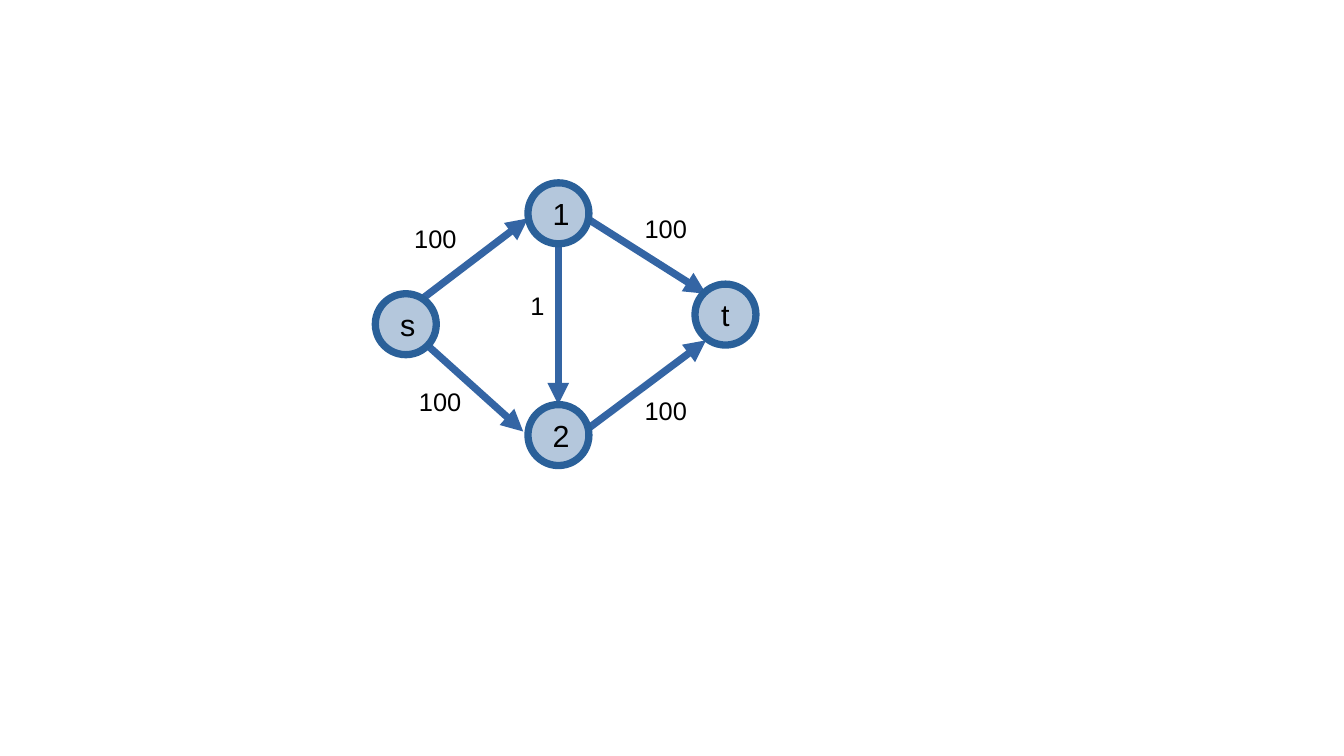
import pptx
import pptx.util
import pptx.dml.color
import pptx.enum.shapes
import pptx.enum.text
import pptx.oxml.ns
import lxml.etree

Cm = pptx.util.Cm
Pt = pptx.util.Pt


def color(value):
    return pptx.dml.color.RGBColor.from_string(value)


def add_text(frame, text, size, margin_x, margin_y):
    frame.margin_left = frame.margin_right = Cm(margin_x)
    frame.margin_top = frame.margin_bottom = Cm(margin_y)
    para = frame.paragraphs[0]
    span = para.add_run()
    span.text = text
    span.font.name = "Arial"
    span.font.size = Pt(size)
    span.font.color.rgb = color("000000")
    return para


deck = pptx.Presentation()
deck.slide_width = Cm(28)
deck.slide_height = Cm(15.75)
page = deck.slides.add_slide(deck.slide_layouts[6])

line_width = Pt(4.31)
node_size = Cm(1.27)

edges = [
    (11.63, 4.65, 11.63, 8.43),
    (12.17, 8.99, 14.71, 7.09),
    (12.07, 4.45, 14.71, 6.12),
    (8.79, 7.09, 10.9, 8.99),
    (8.46, 6.48, 11, 4.55),
]
nodes = [
    ("s", 7.82, 6.12),
    ("1", 11, 3.81),
    ("2", 11, 8.43),
    ("t", 14.48, 5.92),
]
capacities = [
    ("100", 8.38, 4.52, 1.4),
    ("100", 8.48, 7.92, 1.4),
    ("100", 13.18, 8.1, 1.4),
    ("100", 13.18, 4.32, 1.4),
    ("1", 10.8, 5.92, 0.84),
]

for edge in edges:
    arrow = page.shapes.add_connector(
        pptx.enum.shapes.MSO_CONNECTOR.STRAIGHT, *[Cm(value) for value in edge]
    )
    arrow.line.color.rgb = color("3465A4")
    arrow.line.width = line_width
    outline = arrow.line._get_or_add_ln()
    lxml.etree.SubElement(outline, pptx.oxml.ns.qn("a:tailEnd"), type="triangle")
    lxml.etree.SubElement(arrow._element.spPr, pptx.oxml.ns.qn("a:effectLst"))

for name, left, top in nodes:
    circle = page.shapes.add_shape(
        pptx.enum.shapes.MSO_SHAPE.OVAL, Cm(left), Cm(top), node_size, node_size
    )
    circle.shadow.inherit = False
    circle.fill.solid()
    circle.fill.fore_color.rgb = color("B4C7DC")
    circle.line.color.rgb = color("2A6099")
    circle.line.width = line_width
    circle.text_frame.vertical_anchor = pptx.enum.text.MSO_ANCHOR.MIDDLE
    para = add_text(circle.text_frame, name, 18, 0.33, 0.2)
    para.alignment = pptx.enum.text.PP_ALIGN.CENTER

for capacity, left, top, width in capacities:
    box = page.shapes.add_textbox(Cm(left), Cm(top), Cm(width), Cm(0.84))
    box.text_frame.word_wrap = False
    box.text_frame.auto_size = pptx.enum.text.MSO_AUTO_SIZE.SHAPE_TO_FIT_TEXT
    add_text(box.text_frame, capacity, 15, 0.25, 0.13)

deck.save("out.pptx")
